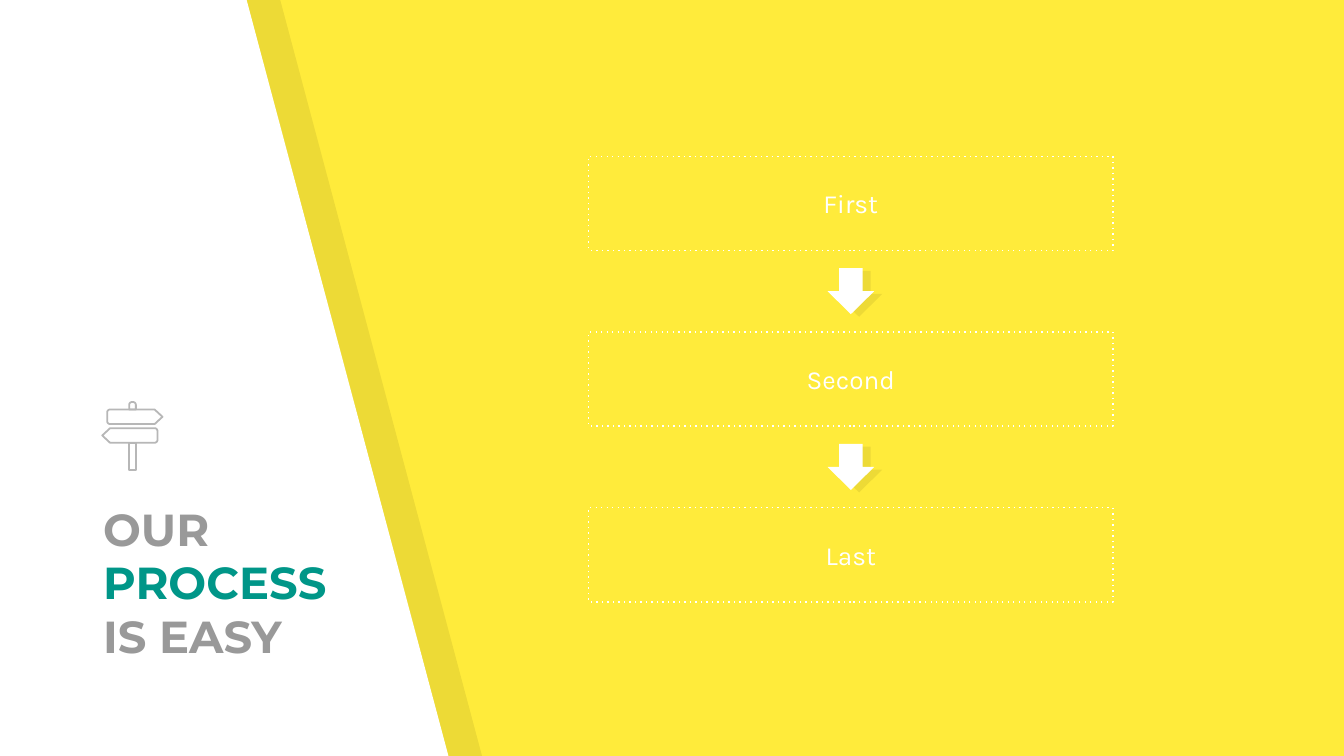
import math

import lxml.etree
import pptx
import pptx.dml.color
import pptx.enum.dml
import pptx.enum.shapes
import pptx.enum.text
import pptx.oxml.ns
import pptx.util

Pt = pptx.util.Pt
RGBColor = pptx.dml.color.RGBColor
qn = pptx.oxml.ns.qn
MSO_SHAPE = pptx.enum.shapes.MSO_SHAPE
ANCHOR = pptx.enum.text.MSO_ANCHOR
ALIGN = pptx.enum.text.PP_ALIGN

YELLOW = RGBColor(0xFF, 0xEB, 0x3B)
WHITE = RGBColor(0xFF, 0xFF, 0xFF)
BLACK = RGBColor(0x00, 0x00, 0x00)
GREY = RGBColor(0x99, 0x99, 0x99)
TEAL = RGBColor(0x00, 0x96, 0x88)
ICON_GREY = RGBColor(0xB7, 0xB7, 0xB7)

TITLE_FONT = {"name": "Montserrat", "size": Pt(24), "bold": True}
STEP_FONT = {"name": "Karla", "size": Pt(14)}
MARGIN = Pt(7.2)
SHADOW_ALPHA = 7  # percent


def style(sp, fill=None, alpha=None, line=None, width=0.75):
    """Set fill and line, and drop the theme shadow."""
    sp.shadow.inherit = False
    if fill is None:
        sp.fill.background()
    else:
        sp.fill.solid()
        sp.fill.fore_color.rgb = fill
    if alpha is not None:
        clr = sp.fill._xPr.find(qn("a:solidFill"))[0]
        lxml.etree.SubElement(clr, qn("a:alpha")).set("val", str(alpha * 1000))
    if line is None:
        sp.line.fill.background()
    else:
        sp.line.color.rgb = line
        sp.line.width = Pt(width)


def set_frame(tf, anchor):
    frame = {"word_wrap": True, "vertical_anchor": anchor,
             "margin_left": MARGIN, "margin_right": MARGIN,
             "margin_top": MARGIN, "margin_bottom": MARGIN}
    for key, value in frame.items():
        setattr(tf, key, value)


def add_run(p, text, font, color):
    r = p.add_run()
    r.text = text
    for key, value in font.items():
        setattr(r.font, key, value)
    r.font.color.rgb = color


def polygon(shapes, points):
    points = [(Pt(x), Pt(y)) for x, y in points]
    fb = shapes.build_freeform(*points[0], scale=1.0)
    fb.add_line_segments(points[1:], close=True)
    return fb.convert_to_shape()


def corner(cx, cy, radius, start):
    """Points of a quarter circle, clockwise on the slide from start degrees."""
    angles = [math.radians(start + step) for step in range(0, 91, 15)]
    return [(cx + radius * math.cos(a), cy + radius * math.sin(a))
            for a in angles]


def add_side_panel(s, left, top, top_width, bottom_width, height):
    # Shadow first, then the white panel
    for dx, fill, alpha in ((18, BLACK, SHADOW_ALPHA), (0, WHITE, None)):
        x = left + dx
        sp = polygon(s.shapes, [(x, top), (x, top + height),
                                (x + bottom_width, top + height),
                                (x + top_width, top)])
        style(sp, fill, alpha)


def add_title(s, left, top, width, height):
    tf = s.shapes.add_textbox(Pt(left), Pt(top), Pt(width), Pt(height)).text_frame
    set_frame(tf, ANCHOR.BOTTOM)
    p = tf.paragraphs[0]
    for text, color in (("OUR ", GREY), ("PROCESS", TEAL), (" IS EASY", GREY)):
        add_run(p, text, TITLE_FONT, color)


def add_signpost(s, left, top, width, height):
    board_w, board_h, tip, radius = 29.6, 7.8, 4.2, 1.5
    post_l, post_r = left + 14.4, left + 18
    board_tops = top + 4, top + 14
    post_top = board_tops[1] + board_h

    # Upper board points right
    x, y = left + width - board_w, board_tops[0]
    upper = (corner(x + radius, y + radius, radius, 180)
             + [(x + board_w - tip, y), (x + board_w, y + board_h / 2),
                (x + board_w - tip, y + board_h)]
             + corner(x + radius, y + board_h - radius, radius, 90))
    # Lower board is its mirror image
    lower = [(2 * left + width - px, py + board_tops[1] - y) for px, py in upper]
    # Cap and post
    cap = (corner(post_l + radius, top + radius, radius, 180)
           + corner(post_r - radius, top + radius, radius, 270)
           + [(post_r, y), (post_l, y)])
    post = [(post_l, post_top), (post_l, top + height),
            (post_r, top + height), (post_r, post_top)]

    group = s.shapes.add_group_shape()
    for points in (upper, lower, cap, post):
        style(polygon(group.shapes, points), line=ICON_GREY, width=0.96)


def add_step(s, text, left, top, width, height):
    sp = s.shapes.add_shape(MSO_SHAPE.RECTANGLE, Pt(left), Pt(top),
                            Pt(width), Pt(height))
    style(sp, line=WHITE)
    sp.line.dash_style = pptx.enum.dml.MSO_LINE.ROUND_DOT
    sp.line._ln.find(qn("a:prstDash")).set("val", "dot")
    set_frame(sp.text_frame, ANCHOR.MIDDLE)
    p = sp.text_frame.paragraphs[0]
    p.alignment = ALIGN.CENTER
    add_run(p, text, STEP_FONT, WHITE)


def add_arrow(s, cx, cy, length=24.6, breadth=25):
    group = s.shapes.add_group_shape()
    for dx, dy, fill, alpha in ((4.4, 1.4, BLACK, SHADOW_ALPHA),
                                (0, 0, WHITE, None)):
        sp = group.shapes.add_shape(
            MSO_SHAPE.RIGHT_ARROW, Pt(cx + dx - length / 2),
            Pt(cy + dy - breadth / 2), Pt(length), Pt(breadth))
        sp.rotation = 90
        style(sp, fill, alpha)


def add_process(s, steps, left, top, width, height, step_height):
    pitch = (height - step_height) / (len(steps) - 1)
    for i, text in enumerate(steps):
        y = top + i * pitch
        add_step(s, text, left, y, width, step_height)
        if i:
            add_arrow(s, left + width / 2, y - (pitch - step_height) / 2)


def main():
    prs = pptx.Presentation()
    prs.slide_width, prs.slide_height = Pt(720), Pt(405)
    s = prs.slides.add_slide(prs.slide_layouts[6])
    s.background.fill.solid()
    s.background.fill.fore_color.rgb = YELLOW

    add_side_panel(s, -1.5, -0.5, 133.5, 242, 406.5)
    add_title(s, 48.2, 324, 135.4, 38.2)
    add_process(s, ["First", "Second", "Last"], 315.4, 83.7, 280.8, 238.8, 50.5)
    add_signpost(s, 54.8, 215.4, 32.3, 36.6)
    prs.save("out.pptx")


if __name__ == "__main__":
    main()
